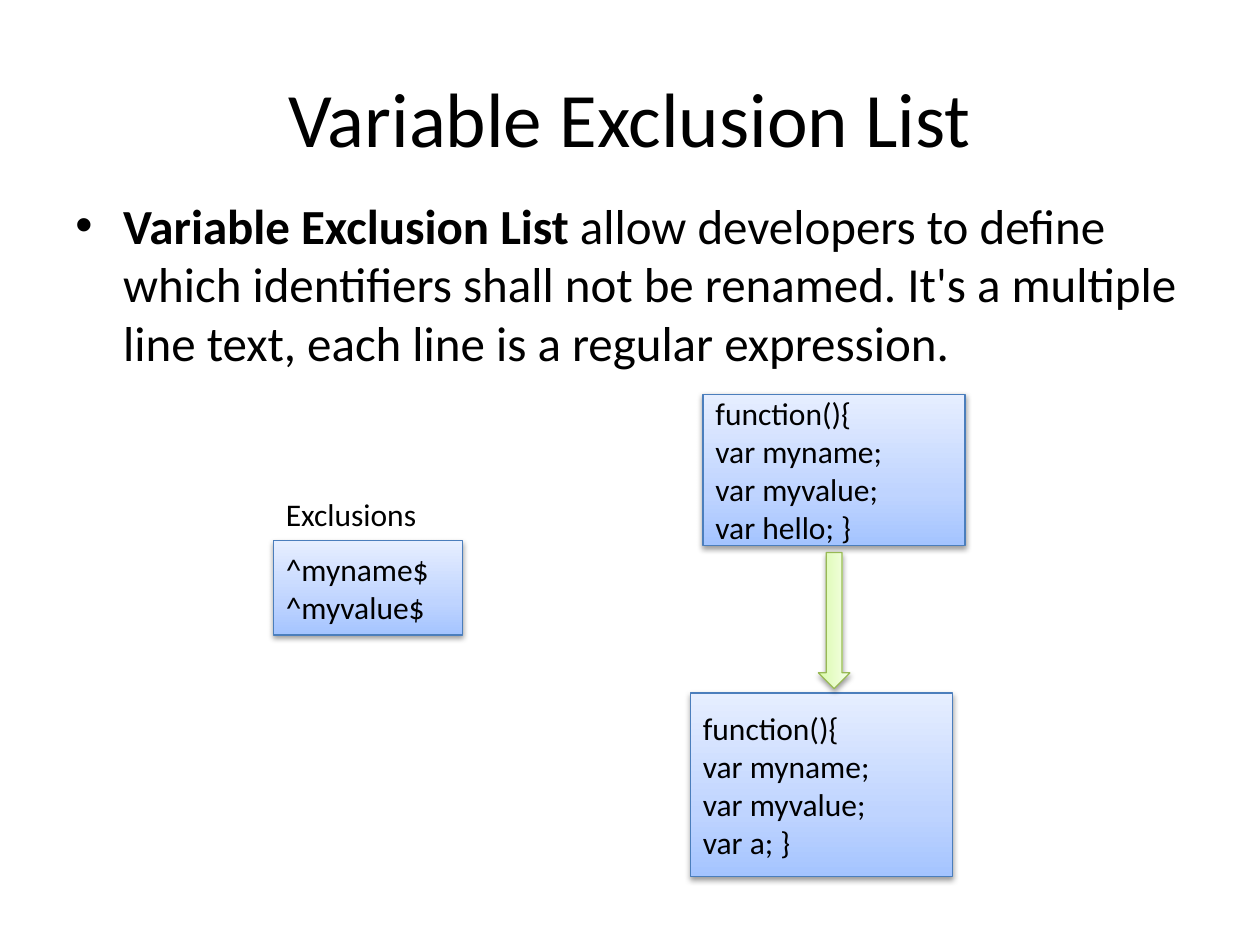
"""Build the Variable Exclusion List slide."""
from dataclasses import dataclass

from lxml import etree
from pptx import Presentation
from pptx.dml.color import RGBColor
from pptx.enum.shapes import MSO_SHAPE
from pptx.enum.text import MSO_ANCHOR, PP_ALIGN
from pptx.oxml.ns import qn
from pptx.util import Pt

EMU_PER_PX = 9144
FONT = "Calibri"
BLACK = "000000"
RECTANGLE = MSO_SHAPE.RECTANGLE
ARROW = MSO_SHAPE.RIGHT_ARROW
MIDDLE = MSO_ANCHOR.MIDDLE
TOP = MSO_ANCHOR.TOP
CENTER = PP_ALIGN.CENTER
LEFT = PP_ALIGN.LEFT
STOPS = (0, 35, 100)


@dataclass(frozen=True)
class Area:
    """Place and size in px."""
    left: int
    top: int
    width: int
    height: int

    def emu(self) -> tuple[int, ...]:
        """Return the four lengths in EMU."""
        return tuple(n * EMU_PER_PX for n in (self.left, self.top, self.width, self.height))


@dataclass(frozen=True)
class Look:
    """Gradient colours and outline of a shape."""
    gradient: tuple[str, str, str]
    line: str


@dataclass(frozen=True)
class CodeBox:
    """A rectangle with lines of code."""
    area: Area
    lines: tuple[str, ...]


BLUE = Look(("A4C4FF", "BFD4FF", "E6EEFF"), "4B7EBC")
GREEN = Look(("DAFDA7", "E4FCC2", "F5FFE7"), "98B955")
SHARED = ("function(){", "var myname;", "var myvalue;")
CODE_BOXES = (
    CodeBox(Area(217, 429, 150, 75), ("^myname$", "^myvalue$")),
    CodeBox(Area(558, 313, 208, 120), SHARED + ("var hello; }",)),
    CodeBox(Area(548, 550, 208, 146), SHARED + ("var a; }",)),
)


def color(value: str) -> RGBColor:
    """Turn a hex string into a colour."""
    return RGBColor.from_string(value)


def add_element(parent, tag: str, **attributes):
    """Append a DrawingML element and return it."""
    values = {name: str(value) for name, value in attributes.items()}
    return etree.SubElement(parent, qn(f"a:{tag}"), values)


def format_text(frame, size: int, align=LEFT, anchor=TOP) -> None:
    """Set the wrapping, alignment and font of a text frame."""
    frame.word_wrap = True
    frame.vertical_anchor = anchor
    for para in frame.paragraphs:
        para.alignment = align
        for span in para.runs:
            span.font.name = FONT
            span.font.size = Pt(size)
            span.font.color.rgb = color(BLACK)


def add_text_box(slide, area: Area):
    """Add a text box and return its text frame."""
    return slide.shapes.add_textbox(*area.emu()).text_frame


def add_glossy_shape(slide, kind, area: Area, look: Look):
    """Add a preset shape with a gradient, an outline and a soft shadow."""
    shape = slide.shapes.add_shape(kind, *area.emu())
    properties = shape._element.spPr
    gradient = add_element(properties, "gradFill", rotWithShape=1)
    stops = add_element(gradient, "gsLst")
    for position, value in zip(STOPS, look.gradient):
        stop = add_element(stops, "gs", pos=position * 1000)
        add_element(stop, "srgbClr", val=value)
    add_element(gradient, "lin", ang=270 * 60000, scaled=0)
    shape.line.color.rgb = color(look.line)
    shape.line.width = Pt(0.75)
    effects = add_element(properties, "effectLst")
    shadow = add_element(effects, "outerShdw", blurRad=40000, dist=20000,
                         dir=90 * 60000, rotWithShape=0)
    shade = add_element(shadow, "srgbClr", val=BLACK)
    add_element(shade, "alpha", val=38000)
    return shape


def add_code_box(slide, box: CodeBox) -> None:
    """Draw a code rectangle."""
    frame = add_glossy_shape(slide, RECTANGLE, box.area, BLUE).text_frame
    frame.text = "\n".join(box.lines)
    format_text(frame, 18, anchor=MIDDLE)


def add_title(slide) -> None:
    """Fill and place the title placeholder."""
    title = slide.shapes.title
    title.left, title.top, title.width, title.height = Area(50, 30, 900, 125).emu()
    title.text_frame.text = "Variable Exclusion List"
    format_text(title.text_frame, 44, CENTER, MIDDLE)


def add_body(slide) -> None:
    """Add the bulleted explanation."""
    frame = add_text_box(slide, Area(50, 150, 900, 520))
    para = frame.paragraphs[0]
    settings = para._p.get_or_add_pPr()
    settings.set("marL", str(38 * EMU_PER_PX))
    settings.set("indent", str(-38 * EMU_PER_PX))
    add_element(settings, "buFont", typeface="Arial")
    add_element(settings, "buChar", char="•")
    term = para.add_run()
    term.text = "Variable Exclusion List "
    term.font.bold = True
    para.add_run().text = (
        "allow developers to define which identifiers shall not be renamed. "
        "It's a multiple line text, each line is a regular expression."
    )
    format_text(frame, 28)


def main() -> None:
    """Build and save the deck."""
    deck = Presentation()
    deck.slide_width, deck.slide_height = Area(0, 0, 1000, 750).emu()[2:]
    slide = deck.slides.add_slide(deck.slide_layouts.get_by_name("Title Only"))
    add_title(slide)
    add_body(slide)
    for box in CODE_BOXES:
        add_code_box(slide, box)
    add_glossy_shape(slide, ARROW, Area(608, 480, 108, 25), GREEN).rotation = 90
    label = add_text_box(slide, Area(217, 388, 175, 40))
    label.text = "Exclusions"
    format_text(label, 18)
    deck.save("out.pptx")


if __name__ == "__main__":
    main()
